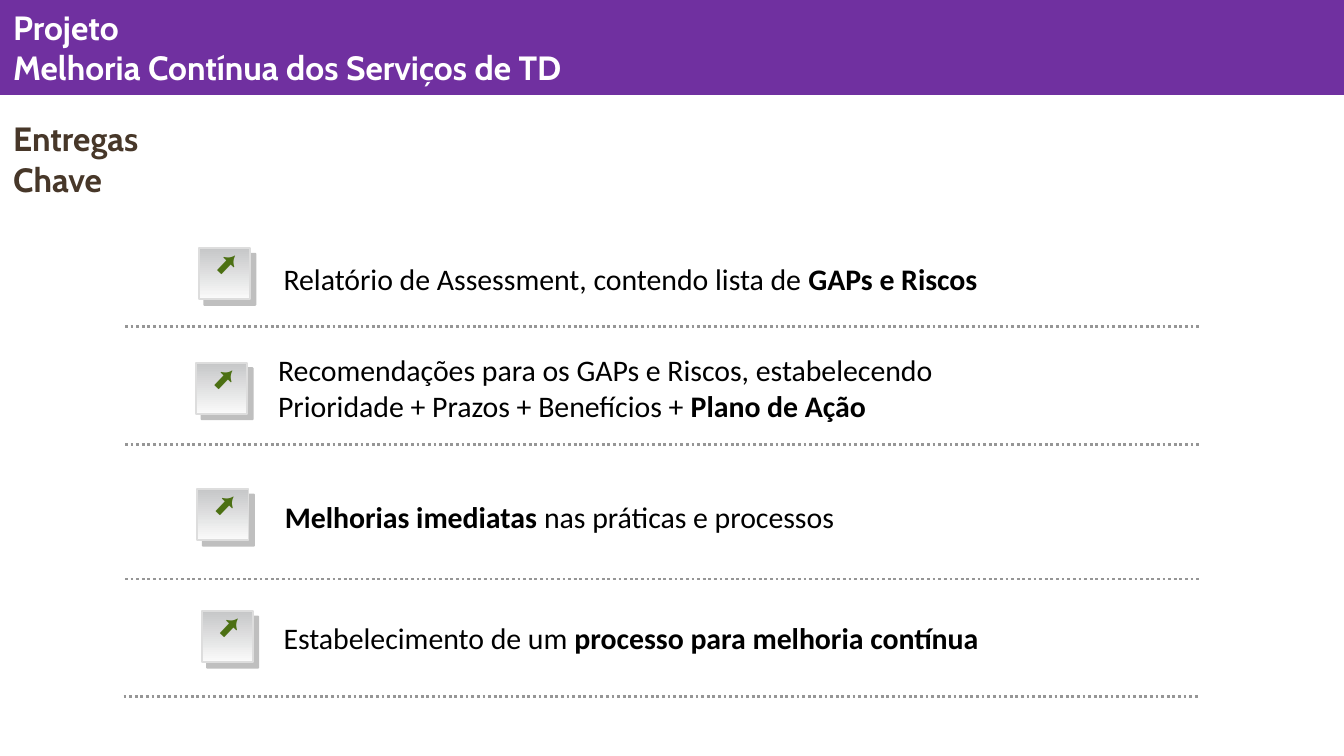
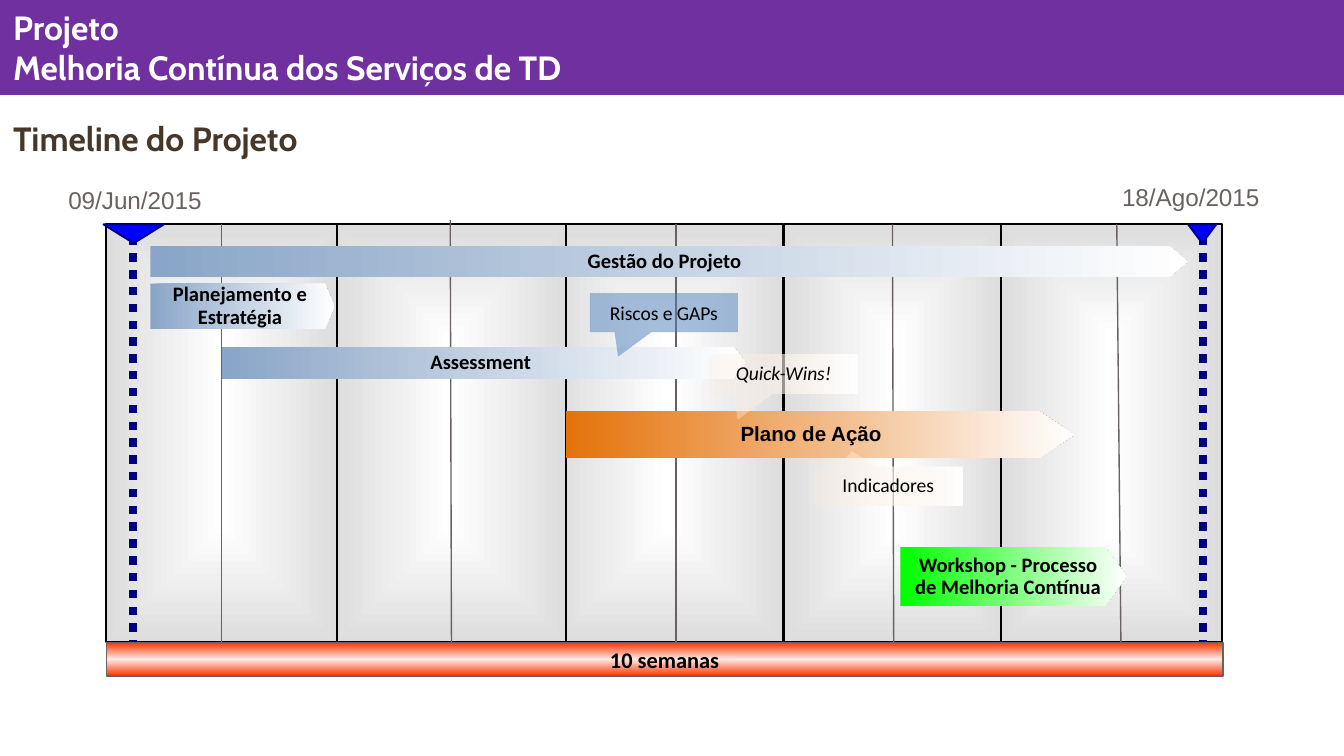
"""Build the two project slides: key deliverables and project timeline."""
import dataclasses

import pptx
import pptx.dml.color
import pptx.enum.dml
import pptx.enum.shapes
import pptx.enum.text
import pptx.oxml.ns
import pptx.util
from lxml import etree

Pt = pptx.util.Pt
qn = pptx.oxml.ns.qn
SHAPE = pptx.enum.shapes.MSO_SHAPE
ALIGN = pptx.enum.text.PP_ALIGN
ANCHOR = pptx.enum.text.MSO_ANCHOR


@dataclasses.dataclass(frozen=True)
class Theme:
    heading_font: str = "Cabin"
    body_font: str = "Calibri"
    plain_font: str = "Arial"
    heading_size: float = 18
    body_size: float = 16
    icon_size: float = 14
    date_size: float = 13
    total_size: float = 12
    bar_size: float = 11
    callout_size: float = 10.5
    band: str = "7030A0"
    white: str = "FFFFFF"
    black: str = "000000"
    heading: str = "473729"
    gray: str = "696261"
    divider: str = "969696"
    arrow: str = "4C7013"
    tile_border: str = "DDDDDD"
    shadow: str = "808080"
    marker: str = "0000FF"
    marker_border: str = "000080"
    callout: str = "4F81BD"
    tile_fill: tuple = (("C6C7C8", 100), ("FAFAFA", 100))
    column_fill: tuple = (("FFFFFF", 100), ("DDDDDD", 100))
    total_fill: tuple = (("FF3300", 100), ("FFEAE5", 100), ("FF3300", 100))
    blue_fill: tuple = (("89A5C7", 100), ("FFFFFF", 100))
    orange_fill: tuple = (("E4720A", 100), ("FFFFFF", 100))
    green_fill: tuple = (("00FF00", 100), ("FFFFFF", 100))
    pale_fill: tuple = (("FDEBDB", 21), ("FFFFFF", 100))


THEME = Theme()
WIDTH, HEIGHT = 720, 405
PROJECT = ["Projeto", "Melhoria Contínua dos Serviços de TD"]

DELIVERABLES = [
    {"tile": (106.5, 133), "text": (137.5, 139.7), "divider": (67, 175),
     "runs": [("Relatório de Assessment, contendo lista de ", False), ("GAPs e Riscos", True)]},
    {"tile": (105, 194.3), "text": (134.6, 188.6), "divider": (67, 238.3),
     "runs": [("Recomendações para os GAPs e Riscos, estabelecendo", False), ("\n", False),
              ("Prioridade + Prazos + Benefícios + ", False), ("Plano de Ação", True)]},
    {"tile": (105.7, 262), "text": (138.2, 267), "divider": (67, 310.2),
     "runs": [("Melhorias imediatas", True), (" nas práticas e processos", False)]},
    {"tile": (108, 327.4), "text": (137.5, 332), "divider": (66.2, 373),
     "runs": [("Estabelecimento de um ", False), ("processo para melhoria contínua", True)]},
]
TILE = 27.4
DIVIDER_LENGTH = 576.7

CHART_TOP, CHART_BOTTOM = 120.2, 344.2
COLUMNS = [(295.9, 123.8), (419.8, 116.6), (536.4, 118.1), (179.3, 123.8), (56.9, 123.8)]
WEEK_LINES = [
    (118.8, CHART_TOP, 118.8, CHART_BOTTOM),
    (241.2, 118, 241.9, 353.5),
    (362.2, CHART_TOP, 362.2, CHART_BOTTOM),
    (478.1, CHART_TOP, 478.8, 353.5),
    (598.3, CHART_TOP, 600.5, CHART_BOTTOM),
]
MARKERS = [(71.3, 55.4, 32.4), (644.4, 636.5, 15.1)]
DATES = [("09/Jun/2015", 29.5, 95.8, 105.8), ("18/Ago/2015", 594, 94.3, 94.3)]
TOTAL = ("10 semanas", (56.9, CHART_BOTTOM, 598.3, 18))
PHASES = [
    ("Gestão do Projeto", (80.6, 131.8, 555.8, 16.6), 0.6, THEME.blue_fill, THEME.body_font),
    ("Planejamento e Estratégia", (80.6, 151.9, 98.6, 24.5), 0.21, THEME.blue_fill, THEME.body_font),
    ("Assessment", (118.8, 185.8, 280.8, 17.3), 0.38, THEME.blue_fill, THEME.body_font),
    ("Plano de Ação", (303.1, 220.3, 272.2, 25.2), 0.74, THEME.orange_fill, THEME.plain_font),
    ("Workshop - Processo de Melhoria Contínua", (482.4, 293, 121, 31.7), 0.36,
     THEME.green_fill, THEME.body_font),
]
CALLOUTS = [
    ("Riscos e GAPs", (316.1, 157), (-0.31, 1.13), None, False),
    ("Quick-Wins!", (380.2, 190.1), (-0.31, 1.13), THEME.pale_fill, True),
    ("Indicadores", (436.3, 249.8), (-0.25, -0.88), THEME.pale_fill, False),
]
CALLOUT_SIZE = (79.2, 20.9)


def rgb(color):
    return pptx.dml.color.RGBColor.from_string(color)


def add_color(parent, color, opacity):
    element = etree.SubElement(parent, qn("a:srgbClr"), val=color)
    if opacity < 100:
        etree.SubElement(element, qn("a:alpha"), val=str(opacity * 1000))


def fill_gradient(shape, colors, angle):
    """Fill with evenly spaced stops; an angle of None spreads from the centre."""
    shape.fill.gradient()
    gradient = shape._element.spPr.find(qn("a:gradFill"))
    gradient.clear()
    gradient.set("rotWithShape", "1")
    stops = etree.SubElement(gradient, qn("a:gsLst"))
    for index, (color, opacity) in enumerate(colors):
        position = index * 100000 // (len(colors) - 1)
        add_color(etree.SubElement(stops, qn("a:gs"), pos=str(position)), color, opacity)
    if angle is None:
        spread = etree.SubElement(gradient, qn("a:path"), path="shape")
        etree.SubElement(spread, qn("a:fillToRect"), l="50000", t="50000", r="50000", b="50000")
    else:
        etree.SubElement(gradient, qn("a:lin"), ang=str(angle * 60000), scaled="0")


def add_box(slide, kind, box, fill, angle=0, border=None, border_width=1):
    shape = slide.shapes.add_shape(kind, *map(Pt, box))
    shape.shadow.inherit = False
    if isinstance(fill, str):
        shape.fill.solid()
        shape.fill.fore_color.rgb = rgb(fill)
    else:
        fill_gradient(shape, fill, angle)
    if border:
        shape.line.color.rgb = rgb(border)
        shape.line.width = Pt(border_width)
    else:
        shape.line.fill.background()
    return shape


def add_line(slide, points, color, width, dotted=False):
    line = slide.shapes.add_connector(pptx.enum.shapes.MSO_CONNECTOR.STRAIGHT, *map(Pt, points))
    line.line.color.rgb = rgb(color)
    line.line.width = Pt(width)
    if dotted:
        line.line.dash_style = pptx.enum.dml.MSO_LINE.ROUND_DOT
    etree.SubElement(line._element.spPr, qn("a:effectLst"))
    return line


def write(shape, paragraphs, size, font, color, align=ALIGN.LEFT, anchor=ANCHOR.TOP,
          italic=False, spacing=None, wrap=True):
    frame = shape.text_frame
    frame.word_wrap = wrap
    frame.vertical_anchor = anchor
    for index, runs in enumerate(paragraphs):
        paragraph = frame.add_paragraph() if index else frame.paragraphs[0]
        paragraph.alignment = align
        if spacing:
            paragraph.line_spacing = spacing
        for text, bold in runs:
            if text == "\n":
                paragraph.add_line_break()
                continue
            run = paragraph.add_run()
            run.text = text
            run.font.size = Pt(size)
            run.font.name = font
            run.font.bold = bold
            run.font.italic = italic
            run.font.color.rgb = rgb(color)


def add_text(slide, box, paragraphs, size, font, color, **options):
    text_box = slide.shapes.add_textbox(*map(Pt, box))
    write(text_box, paragraphs, size, font, color, **options)
    return text_box


def add_slide(presentation, title, title_width):
    slide = presentation.slides.add_slide(presentation.slide_layouts[6])
    band = add_box(slide, SHAPE.RECTANGLE, (0, 0, WIDTH, 50.9), THEME.band)
    write(band, [[(line, True)] for line in PROJECT], THEME.heading_size,
          THEME.heading_font, THEME.white)
    add_text(slide, (0, 59.8, title_width, 29), [[(title, True)]], THEME.heading_size,
             THEME.heading_font, THEME.heading)
    return slide


def add_icon(slide, left, top):
    tile = add_box(slide, SHAPE.RECTANGLE, (left, top, TILE, TILE), THEME.tile_fill, 90,
                   THEME.tile_border)
    effects = tile._element.spPr.find(qn("a:effectLst"))
    shadow = etree.SubElement(effects, qn("a:outerShdw"), dist=str(Pt(4.2)), dir="2700000",
                              algn="ctr", rotWithShape="0")
    add_color(shadow, THEME.shadow, 50)
    arrow = add_text(slide, (left + 6.5, top + 0.5, 18, 23), [[("⬇", False)]],
                     THEME.icon_size, THEME.plain_font, THEME.arrow,
                     align=ALIGN.CENTER, wrap=False)
    arrow.rotation = 223.6


def build_deliverables(presentation):
    slide = add_slide(presentation, "Entregas Chave", 131)
    for item in DELIVERABLES:
        left, top = item["divider"]
        add_line(slide, (left, top, left + DIVIDER_LENGTH, top), THEME.divider, 1.5, dotted=True)
        add_icon(slide, *item["tile"])
        text_box = add_text(slide, (*item["text"], 500, 20), [item["runs"]],
                            THEME.body_size, THEME.body_font, THEME.black)
        frame = text_box.text_frame
        frame.margin_left, frame.margin_top = Pt(14.4), 0
        frame.margin_right = frame.margin_bottom = Pt(2.9)


def build_timeline(presentation):
    slide = add_slide(presentation, "Timeline do Projeto", 183)
    centered = {"align": ALIGN.CENTER, "anchor": ANCHOR.MIDDLE}
    columns = [add_box(slide, SHAPE.RECTANGLE, (left, CHART_TOP, width, CHART_BOTTOM - CHART_TOP),
                       THEME.column_fill, None, THEME.black) for left, width in COLUMNS]
    for points in WEEK_LINES:
        line = add_line(slide, points, THEME.gray, 0.75)
        for column, (left, width) in zip(columns, COLUMNS):
            middle = left + width / 2
            if abs(points[0] - middle) < 0.5 and points[1] == CHART_TOP:
                line.begin_connect(column, 0)
            if abs(points[2] - middle) < 0.5 and points[3] == CHART_BOTTOM:
                line.end_connect(column, 2)
    for center, left, width in MARKERS:
        add_line(slide, (center, 126.7, center, CHART_BOTTOM), THEME.marker_border, 4.5, dotted=True)
        triangle = add_box(slide, SHAPE.ISOSCELES_TRIANGLE, (left, CHART_TOP, width, 10.1),
                           THEME.marker, border=THEME.marker_border)
        triangle.rotation = 180
    for text, box, point, fill, font in PHASES:
        phase = add_box(slide, SHAPE.PENTAGON, box, fill)
        phase.adjustments[0] = point
        write(phase, [[(text, True)]], THEME.bar_size, font, THEME.black, spacing=0.9, **centered)
    text, box = TOTAL
    total = add_box(slide, SHAPE.RECTANGLE, box, THEME.total_fill, 90, THEME.gray, 0.75)
    write(total, [[(text, True)]], THEME.total_size, THEME.body_font, THEME.black, **centered)
    for text, left, top, width in DATES:
        add_text(slide, (left, top, width, 23), [[(text, False)]], THEME.date_size,
                 THEME.plain_font, THEME.gray)
    for text, corner, tip, fill, italic in CALLOUTS:
        callout = add_box(slide, SHAPE.RECTANGULAR_CALLOUT, (*corner, *CALLOUT_SIZE),
                          fill or THEME.callout)
        if fill is None:
            color = callout._element.spPr.find(qn("a:solidFill")).find(qn("a:srgbClr"))
            etree.SubElement(color, qn("a:alpha"), val="50000")
        callout.adjustments[0], callout.adjustments[1] = tip
        write(callout, [[(text, False)]], THEME.callout_size, THEME.body_font, THEME.black,
              italic=italic, spacing=0.9 if fill else None, **centered)


def main():
    presentation = pptx.Presentation()
    presentation.slide_width, presentation.slide_height = Pt(WIDTH), Pt(HEIGHT)
    build_deliverables(presentation)
    build_timeline(presentation)
    presentation.save("out.pptx")


if __name__ == "__main__":
    main()
